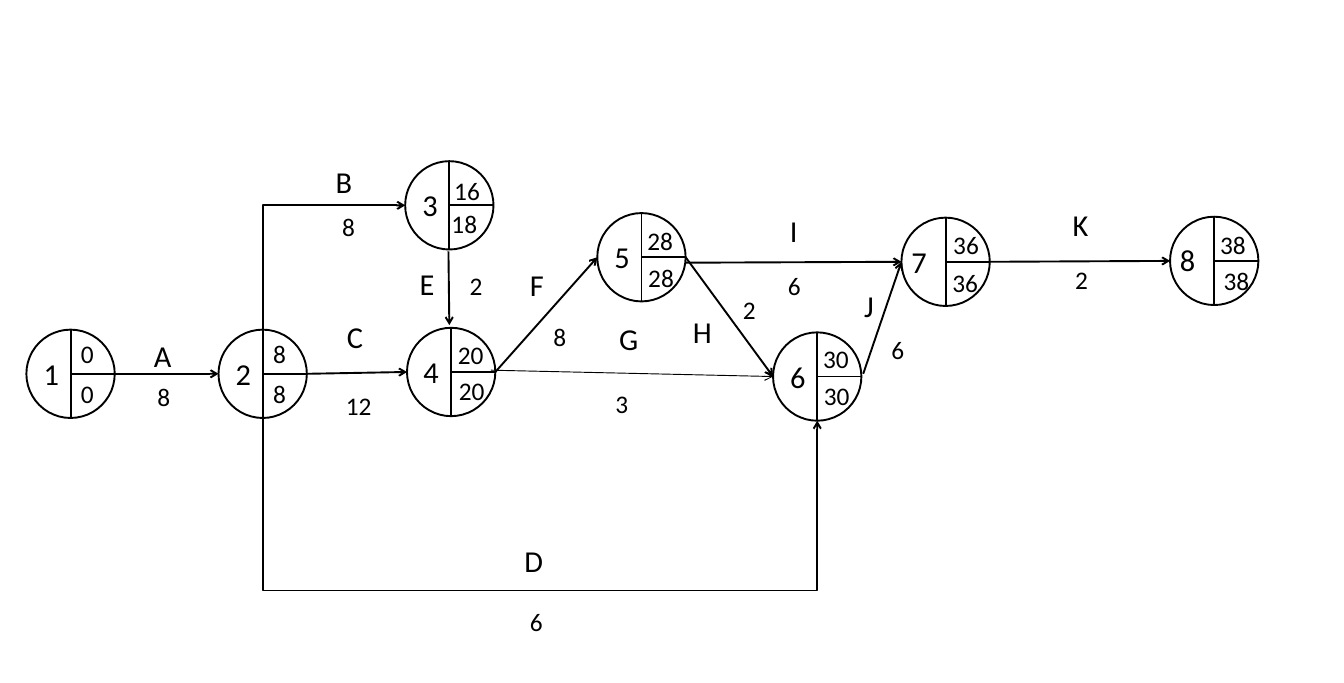
from dataclasses import dataclass

from lxml import etree
from pptx import Presentation
from pptx.dml.color import RGBColor
from pptx.enum.shapes import MSO_CONNECTOR, MSO_SHAPE
from pptx.enum.text import MSO_AUTO_SIZE
from pptx.oxml.ns import qn
from pptx.util import Inches, Pt

STRAIGHT, ELBOW = MSO_CONNECTOR.STRAIGHT, MSO_CONNECTOR.ELBOW
OVAL = MSO_SHAPE.OVAL
GROW = MSO_AUTO_SIZE.SHAPE_TO_FIT_TEXT


@dataclass(frozen=True)
class Theme:
    ink: RGBColor = RGBColor(0, 0, 0)
    font: str = "Calibri"
    big: int = 24
    small: int = 20
    line: float = 1.5
    thin: float = 0.75


THEME = Theme()
SIZE = 0.97  # diameter of an event circle
HALF = SIZE / 2
SIDES = {"top": (HALF, 0), "left": (0, HALF), "foot": (HALF, SIZE), "right": (SIZE, HALF)}

# Event: circle corner, early and late time, then offsets of number, early, late
NODES = {
    "1": ((0.29, 3.62), "0", "0", (0.09, 0.23), (0.5, 0.04), (0.5, 0.48)),
    "2": ((2.4, 3.62), "8", "8", (0.09, 0.23), (0.5, 0.04), (0.5, 0.48)),
    "3": ((4.45, 1.77), "16", "18", (0.09, 0.23), (0.44, 0.11), (0.41, 0.47)),
    "4": ((4.47, 3.6), "20", "20", (0.08, 0.23), (0.46, 0.08), (0.47, 0.47)),
    "5": ((6.56, 2.34), "28", "28", (0.09, 0.23), (0.45, 0.08), (0.46, 0.49)),
    "6": ((8.49, 3.65), "30", "30", (0.09, 0.23), (0.45, 0.07), (0.46, 0.48)),
    "7": ((9.9, 2.39), "36", "36", (0.01, 0.23), (0.47, 0.08), (0.46, 0.5)),
    "8": ((12.85, 2.38), "38", "38", (0.01, 0.22), (0.45, 0.09), (0.49, 0.48)),
}

# Task: start, end, name and its offset, length and its offset from the midpoint, extras
TASKS = [
    ("1 right", "2 left", "A", (-0.24, -0.45), "8", (-0.2, 0.03), {}),
    ("2 top", "3 left", "B", (-0.08, -1.19), "8", (-0.01, -0.67),
     {"bend": {"prst": "bentConnector2", "turn": 90, "flips": ("flipH", "flipV")}}),
    ("2 right", "4 left", "C", (-0.21, -0.65), "12", (-0.22, 0.14), {}),
    ("2 foot", "6 foot", "D", (-0.27, 1.3), "6", (-0.21, 2),
     {"bend": {"prst": "bentConnector3", "turn": 270, "flips": ("flipH",), "drop": 1.9}}),
    ("3 foot", "4 top", "E", (-0.42, -0.3), "2", (0.13, -0.25),
     {"first": (-0.01, 0.02), "last": (-0.02, -0.03)}),
    ("4 right", "5 left", "F", (-0.28, -0.58), "8", (-0.02, 0.02), {}),
    ("4 right", "6 left", "G", (-0.24, -0.63), "3", (-0.28, 0.11),
     {"first": (-0.05, -0.02), "width": THEME.thin}),
    ("5 right", "6 left", "H", (-0.5, -0.09), "2", (0.05, -0.3), {}),
    ("5 right", "7 left", "I", (-0.14, -0.6), "6", (-0.16, 0.04), {"first": (0, 0.06)}),
    ("6 right", "7 left", "J", (-0.3, -0.39), "6", (0, 0.13), {"first": (0.02, -0.03)}),
    ("7 right", "8 left", "K", (-0.18, -0.66), "2", (-0.15, -0.02), {}),
]


def shift(spot, step):
    return spot[0] + step[0], spot[1] + step[1]


def port(label):
    name, side = label.split()
    return shift(NODES[name][0], SIDES[side])


def write(shapes, spot, text, size):
    high = 0.5 if size == THEME.big else 0.44
    wide = 0.31 if len(text) == 1 else 0.55
    box = shapes.add_textbox(*map(Inches, (*spot, wide, high)))
    frame = box.text_frame
    frame.word_wrap = True
    frame.auto_size = GROW
    frame.text = text
    font = frame.paragraphs[0].runs[0].font
    for key, value in {"name": THEME.font, "size": Pt(size)}.items():
        setattr(font, key, value)
    font.color.rgb = THEME.ink


def draw(shapes, start, end, width=THEME.line, arrow=False, kind=STRAIGHT):
    line = shapes.add_connector(kind, *map(Inches, (*start, *end)))
    line.line.color.rgb = THEME.ink
    line.line.width = Pt(width)
    if arrow:
        etree.SubElement(line.line._get_or_add_ln(), qn("a:tailEnd"), type="arrow")
    etree.SubElement(line._element.spPr, qn("a:effectLst"))
    return line


def bend(line, start, end, prst, turn, flips, drop=None):
    """Turn an elbow on its side; drop is how far it runs before the bend."""
    wide, high = abs(end[1] - start[1]), abs(end[0] - start[0])
    mid_x, mid_y = (start[0] + end[0]) / 2, (start[1] + end[1]) / 2
    frame = {"left": mid_x - wide / 2, "top": mid_y - high / 2, "width": wide, "height": high}
    for key, value in frame.items():
        setattr(line, key, Inches(value))
    props = line._element.spPr
    place = props.find(qn("a:xfrm"))
    for flip in ("flipH", "flipV"):
        place.set(flip, str(int(flip in flips)))
    place.set("rot", str(turn * 60000))
    geom = props.find(qn("a:prstGeom"))
    geom.set("prst", prst)
    if drop:
        rule = f"val {round(drop / wide * 100000)}"
        etree.SubElement(geom.find(qn("a:avLst")), qn("a:gd"), name="adj1", fmla=rule)


def node(slide, name, spot, early, late, name_at, early_at, late_at):
    shapes = slide.shapes.add_group_shape().shapes
    ring = shapes.add_shape(OVAL, *map(Inches, (*spot, SIZE, SIZE)))
    ring.shadow.inherit = False
    ring.fill.background()
    ring.line.color.rgb = THEME.ink
    ring.line.width = Pt(THEME.line)
    # Split into number, early and late time
    draw(shapes, shift(spot, SIDES["top"]), shift(spot, SIDES["foot"]))
    draw(shapes, shift(spot, SIDES["right"]), shift(spot, (HALF, HALF)))
    write(shapes, shift(spot, name_at), name, THEME.big)
    write(shapes, shift(spot, early_at), early, THEME.small)
    write(shapes, shift(spot, late_at), late, THEME.small)


def task(slide, start, end, name, name_at, cost, cost_at, more):
    start = shift(port(start), more.get("first", (0, 0)))
    end = shift(port(end), more.get("last", (0, 0)))
    kind = ELBOW if "bend" in more else STRAIGHT
    line = draw(slide.shapes, start, end, more.get("width", THEME.line), True, kind)
    if "bend" in more:
        bend(line, start, end, **more["bend"])
    # Labels sit around the midpoint of the arrow
    mid = (start[0] + end[0]) / 2, (start[1] + end[1]) / 2
    write(slide.shapes, shift(mid, name_at), name, THEME.big)
    write(slide.shapes, shift(mid, cost_at), cost, THEME.small)


def main():
    deck = Presentation()
    deck.slide_width, deck.slide_height = Inches(14.76), Inches(7.5)
    slide = deck.slides.add_slide(deck.slide_layouts[6])
    # Events
    for name, parts in NODES.items():
        node(slide, name, *parts)
    # Tasks
    for parts in TASKS:
        task(slide, *parts)
    deck.save("out.pptx")


if __name__ == "__main__":
    main()
